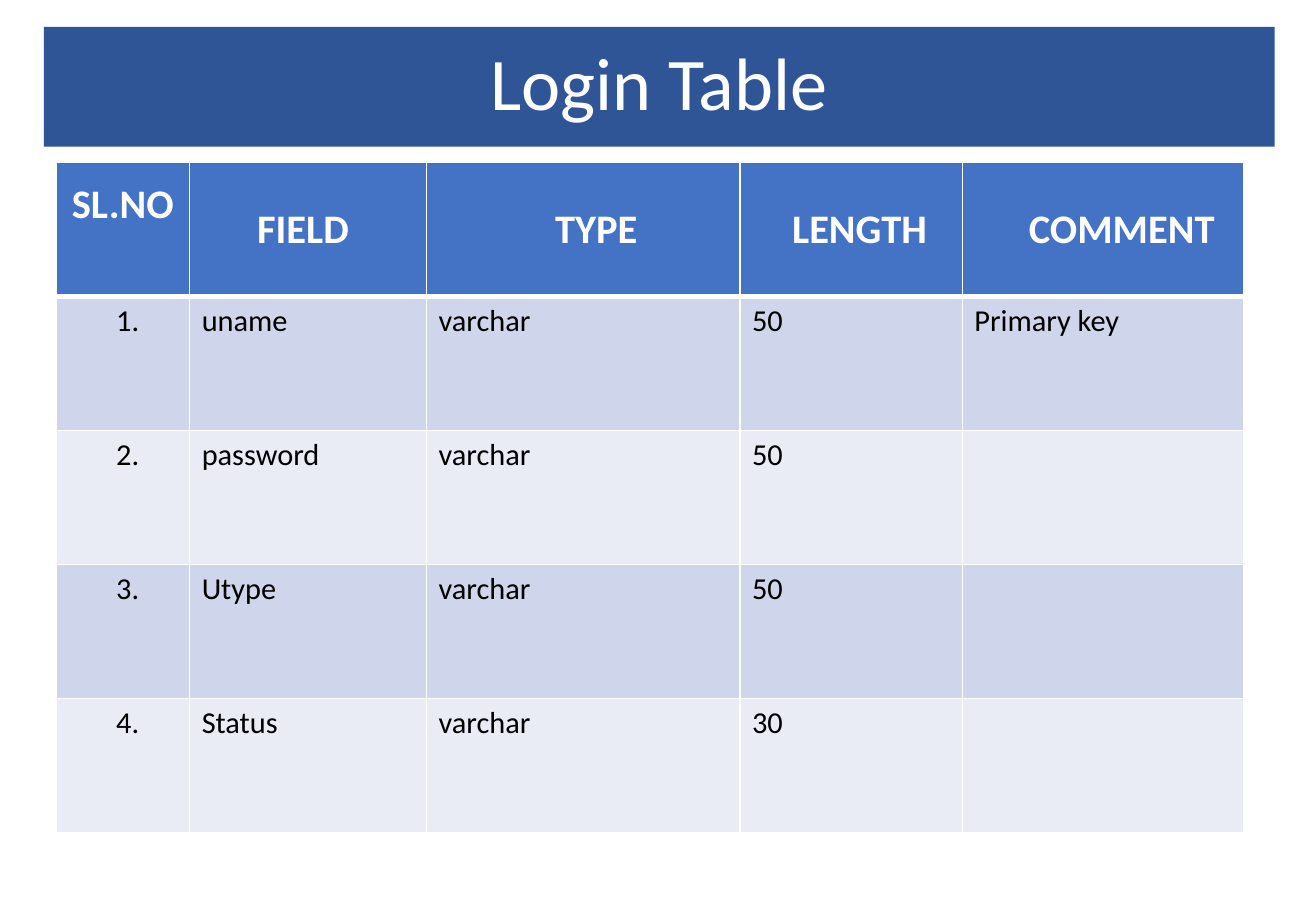
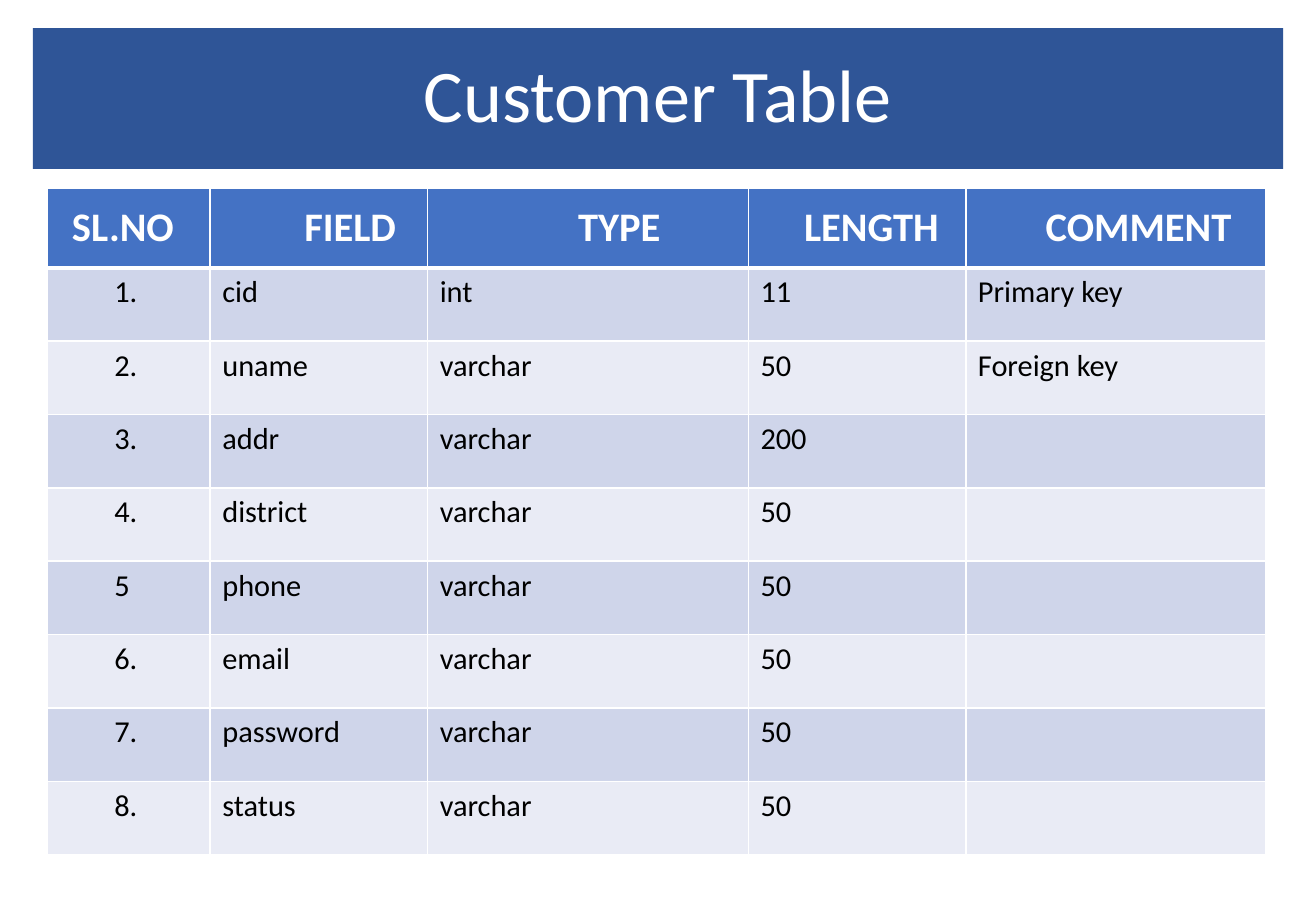
from dataclasses import dataclass

from lxml import etree
from pptx import Presentation
from pptx.dml.color import RGBColor
from pptx.enum.shapes import MSO_SHAPE
from pptx.enum.text import MSO_ANCHOR, PP_ALIGN
from pptx.oxml.ns import qn
from pptx.util import Pt

RECTANGLE = MSO_SHAPE.RECTANGLE
CENTER, LEFT = PP_ALIGN.CENTER, PP_ALIGN.LEFT
MIDDLE, TOP = MSO_ANCHOR.MIDDLE, MSO_ANCHOR.TOP


@dataclass(frozen=True)
class Theme:
    font: str = "Calibri"
    banner: str = "2F5597"
    header: str = "4472C4"
    bands: tuple = ("CFD5EA", "E9EBF5")
    light: str = "FFFFFF"
    dark: str = "000000"
    title_size: float = 44
    header_size: float = 24
    body_size: float = 18
    cell_margin: float = 7.2
    thin: float = 1
    thick: float = 3


THEME = Theme()
HEADINGS = ("SL.NO", "FIELD", "TYPE", "LENGTH", "COMMENT")

# Positive heading indents push text right, negative ones push it left.
TABLES = [
    {
        "title": "Login Table",
        "banner": (26, 16, 729.5, 71),
        "origin": (33.2, 96.4),
        "columns": (79.2, 140.4, 185.8, 131.8, 167),
        "header_height": 79.4,
        "row_height": 79.4,
        "heading_indents": (0, -6, 15.4, 10, 22),
        "number_indent": 28.5,
        "number_heading_lift": 29,
        "rows": [
            ("1.", "uname", "varchar", "50", "Primary key"),
            ("2.", "password", "varchar", "50", ""),
            ("3.", "Utype", "varchar", "50", ""),
            ("4.", "Status", "varchar", "30", ""),
        ],
    },
    {
        "title": "Customer Table",
        "banner": (19.5, 16.7, 741, 83.5),
        "origin": (28.1, 111.7),
        "columns": (96.5, 128.9, 190.1, 128.9, 177.8),
        "header_height": 47,
        "row_height": 43.5,
        "heading_indents": (-7, 37, 37, 17, 27),
        "number_indent": 32.5,
        "number_heading_lift": 0,
        "rows": [
            ("1.", "cid", "int", "11", "Primary key"),
            ("2.", "uname", "varchar", "50", "Foreign key"),
            ("3.", "addr", "varchar", "200", ""),
            ("4.", "district", "varchar", "50", ""),
            ("5", "phone", "varchar", "50", ""),
            ("6.", "email", "varchar", "50", ""),
            ("7.", "password", "varchar", "50", ""),
            ("8.", "status", "varchar", "50", ""),
        ],
    },
]


def add_text(para, text, size, color, align, bold=False):
    para.alignment = align
    run = para.add_run()
    run.text = text
    run.font.name = THEME.font
    run.font.size = Pt(size)
    run.font.bold = bold
    run.font.color.rgb = RGBColor.from_string(color)


def set_borders(cell, top, bottom):
    """Draw light borders; the side borders are always thin."""
    properties = cell._tc.get_or_add_tcPr()
    widths = {"lnL": THEME.thin, "lnR": THEME.thin, "lnT": top, "lnB": bottom}
    for position, (tag, width) in enumerate(widths.items()):
        line = etree.Element(qn(f"a:{tag}"), w=str(Pt(width)))
        fill = etree.SubElement(line, qn("a:solidFill"))
        etree.SubElement(fill, qn("a:srgbClr"), val=THEME.light)
        properties.insert(position, line)


deck = Presentation()
deck.slide_width, deck.slide_height = Pt(780), Pt(540)

for content in TABLES:
    page = deck.slides.add_slide(deck.slide_layouts[6])

    banner = page.shapes.add_shape(RECTANGLE, *map(Pt, content["banner"]))
    banner.shadow.inherit = False
    banner.fill.solid()
    banner.fill.fore_color.rgb = RGBColor.from_string(THEME.banner)
    banner.line.fill.background()
    banner.text_frame.word_wrap = True
    banner.text_frame.vertical_anchor = MIDDLE
    para = banner.text_frame.paragraphs[0]
    para.line_spacing = 0.9
    add_text(para, content["title"], THEME.title_size, THEME.light, CENTER)

    rows = [HEADINGS, *content["rows"]]
    heights = [content["header_height"]] + [content["row_height"]] * len(content["rows"])
    table = page.shapes.add_table(
        len(rows), len(HEADINGS), *map(Pt, content["origin"]),
        Pt(sum(content["columns"])), Pt(sum(heights))).table
    table.horz_banding = False
    for column, width in zip(table.columns, content["columns"]):
        column.width = Pt(width)

    body_indents = (content["number_indent"], 0, 0, 0, 0)
    for row_index, (texts, height) in enumerate(zip(rows, heights)):
        table.rows[row_index].height = Pt(height)
        is_header = row_index == 0
        if is_header:
            fill, color, size = THEME.header, THEME.light, THEME.header_size
            indents, align, anchor = content["heading_indents"], CENTER, MIDDLE
        else:
            fill, color, size = THEME.bands[(row_index - 1) % 2], THEME.dark, THEME.body_size
            indents, align, anchor = body_indents, LEFT, TOP

        for column_index, (text, indent) in enumerate(zip(texts, indents)):
            cell = table.cell(row_index, column_index)
            cell.fill.solid()
            cell.fill.fore_color.rgb = RGBColor.from_string(fill)
            cell.vertical_anchor = anchor
            cell.margin_left = Pt(THEME.cell_margin + max(indent, 0))
            cell.margin_right = Pt(THEME.cell_margin + max(-indent, 0))
            set_borders(cell,
                        top=THEME.thick if row_index == 1 else THEME.thin,
                        bottom=THEME.thick if is_header else THEME.thin)
            if text:
                add_text(cell.text_frame.paragraphs[0], text, size, color, align, is_header)

    number_heading = table.cell(0, 0)
    number_heading.margin_bottom = Pt(3.6 + content["number_heading_lift"])

deck.save("out.pptx")
